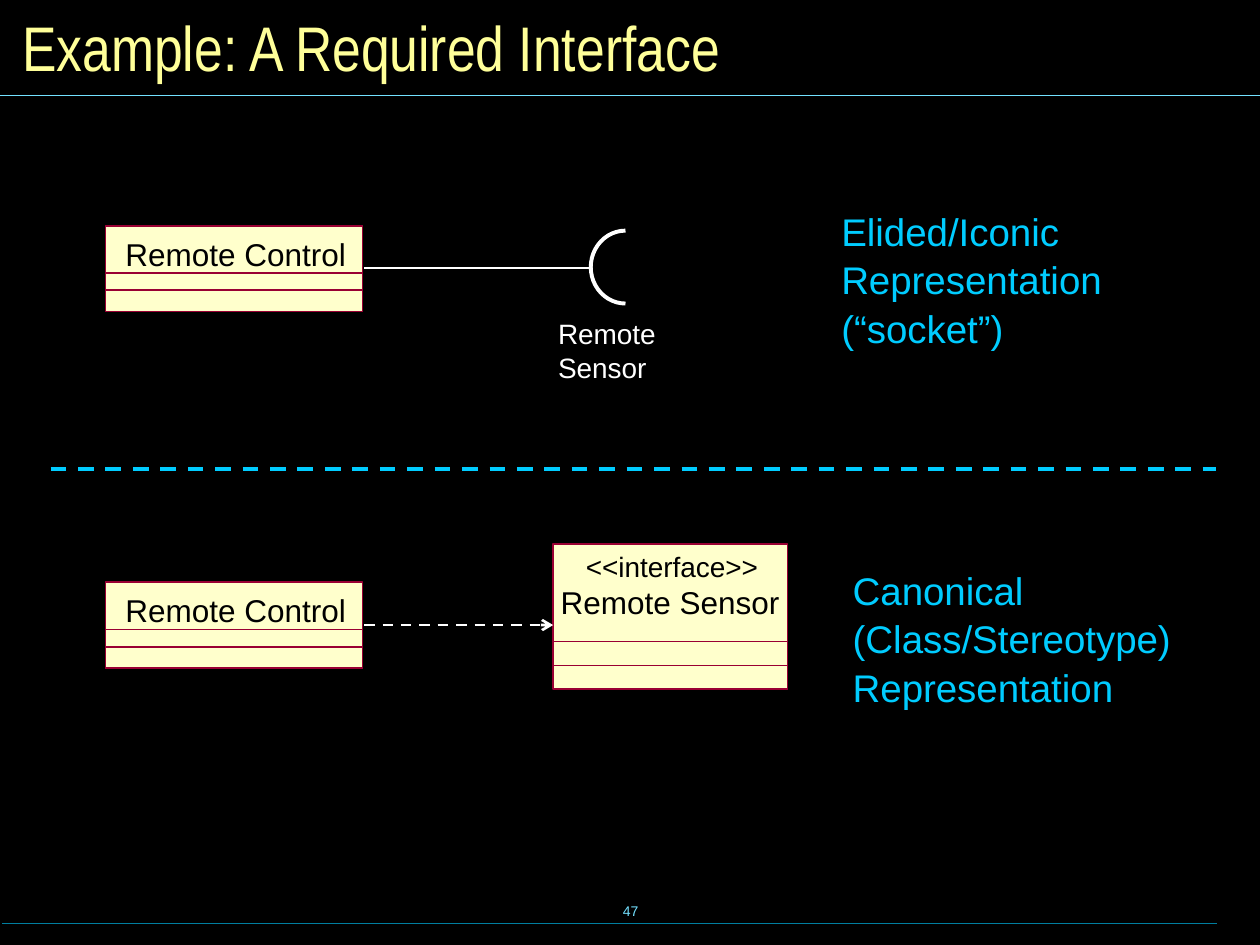
"""Build the slide that shows two notations for a required interface."""
import dataclasses

import lxml.etree
import pptx
import pptx.dml.color
import pptx.enum.dml
import pptx.enum.shapes
import pptx.enum.text
import pptx.oxml.ns
import pptx.util

Cm = pptx.util.Cm
SHAPE = pptx.enum.shapes.MSO_SHAPE
ALIGN = pptx.enum.text.PP_ALIGN
ANCHOR = pptx.enum.text.MSO_ANCHOR


@dataclasses.dataclass(frozen=True)
class Theme:
    background: str = "000000"
    title: str = "FFFF99"
    rule: str = "73E1FF"
    footer_rule: str = "007E9F"
    accent: str = "00CCFF"
    box: str = "FFFFCC"
    border: str = "990033"
    ink: str = "000000"
    light: str = "FFFFFF"
    font: str = "Arial"
    title_font: str = "Arial Narrow"
    title_size: int = 36
    note_size: int = 22
    name_size: int = 18
    label_size: int = 16
    number_size: int = 8


THEME = Theme()


def rgb(color):
    return pptx.dml.color.RGBColor.from_string(color)


def add_text(s, text, box, size, color, font=THEME.font, align=ALIGN.LEFT,
             anchor=ANCHOR.TOP, inset=(0, 0), wrap=True, spacing=None):
    tf = s.shapes.add_textbox(*map(Cm, box)).text_frame
    tf.margin_left = tf.margin_right = Cm(inset[0])
    tf.margin_top = tf.margin_bottom = Cm(inset[1])
    tf.word_wrap = wrap
    tf.vertical_anchor = anchor
    tf.text = text
    p = tf.paragraphs[0]
    p.alignment = align
    p.line_spacing = spacing
    for r in p.runs:
        r.font.name = font
        r.font.size = pptx.util.Pt(size)
        r.font.color.rgb = rgb(color)


def add_line(s, start, end, color, width, dashed=False, arrow=False):
    sp = s.shapes.add_connector(
        pptx.enum.shapes.MSO_CONNECTOR.STRAIGHT, *map(Cm, start + end))
    sp.line.color.rgb = rgb(color)
    sp.line.width = pptx.util.Pt(width)
    if dashed:
        sp.line.dash_style = pptx.enum.dml.MSO_LINE.DASH
    qn = pptx.oxml.ns.qn
    if arrow:
        ln = sp.line._get_or_add_ln()
        lxml.etree.SubElement(ln, qn("a:tailEnd"), type="arrow")
    lxml.etree.SubElement(sp._element.spPr, qn("a:effectLst"))


def add_shape(s, kind, box, border, width, fill=None):
    sp = s.shapes.add_shape(kind, *map(Cm, box))
    sp.shadow.inherit = False
    if fill:
        sp.fill.solid()
        sp.fill.fore_color.rgb = rgb(fill)
    else:
        sp.fill.background()
    sp.line.color.rgb = rgb(border)
    sp.line.width = pptx.util.Pt(width)
    return sp


def add_class(s, top):
    left, width, bottom = 2.13, 5.18, top + 1.73
    add_shape(s, SHAPE.RECTANGLE, (left, top, width, 1.73),
              THEME.border, 1, THEME.box)
    for height in (0.78, 0.43):
        add_shape(s, SHAPE.RECTANGLE, (left, bottom - height, width, height),
                  THEME.border, 1)
    add_text(s, "Remote Control", (2.36, top + 0.18, 4.78, 0.76),
             THEME.name_size, THEME.ink, align=ALIGN.CENTER)


def add_interface(s):
    left, top, width = 11.15, 10.97, 4.72
    add_shape(s, SHAPE.RECTANGLE, (left, top, width, 2.92),
              THEME.border, 0, THEME.box)
    add_shape(s, SHAPE.RECTANGLE, (left, 12.92, width, 0.98),
              THEME.border, 0.25)
    add_line(s, (left, 13.41), (left + width, 13.41), THEME.border, 0.25)
    add_text(s, "Remote Sensor", (left, 11.76, width, 0.76), THEME.name_size,
             THEME.ink, align=ALIGN.CENTER, wrap=False)
    add_text(s, "<<interface>>", (11.81, 11.07, 3.48, 0.69),
             THEME.label_size, THEME.ink, wrap=False)


def add_socket(s):
    add_line(s, (7.34, 5.4), (11.93, 5.4), THEME.light, 1.5)
    sp = add_shape(s, SHAPE.ARC, (11.91, 4.65, 1.4, 1.47), THEME.light, 2.25)
    sp.adjustments[0], sp.adjustments[1] = 54, 162
    add_text(s, "Remote Sensor", (11.25, 6.38, 3.91, 0.69),
             THEME.label_size, THEME.light, wrap=False)


def add_note(s, text, box):
    add_text(s, text, box, THEME.note_size, THEME.accent,
             inset=(0.3, 0.15), spacing=1.05)


def add_frame(s):
    s.background.fill.solid()
    s.background.fill.fore_color.rgb = rgb(THEME.background)
    add_text(s, "47", (8.69, 17.73, 8.05, 1.27), THEME.number_size,
             THEME.rule, align=ALIGN.CENTER, anchor=ANCHOR.MIDDLE,
             inset=(0.25, 0.13))
    add_line(s, (0, 1.93), (25.4, 1.93), THEME.rule, 0.75)
    add_line(s, (0.05, 18.62), (24.54, 18.62), THEME.footer_rule, 0.75)
    add_text(s, "Example: A Required Interface", (0.2, 0.2, 25, 1.47),
             THEME.title_size, THEME.title, THEME.title_font,
             anchor=ANCHOR.MIDDLE, inset=(0.25, 0.13))


def main():
    prs = pptx.Presentation()
    prs.slide_width, prs.slide_height = Cm(25.4), Cm(19.05)
    s = prs.slides.add_slide(prs.slide_layouts[6])
    add_frame(s)
    add_line(s, (1.02, 9.45), (24.51, 9.45), THEME.accent, 2.25, dashed=True)
    add_class(s, 4.55)
    add_socket(s)
    add_class(s, 11.74)
    add_interface(s)
    add_line(s, (7.34, 12.6), (11.15, 12.6), THEME.light, 1.5,
             dashed=True, arrow=True)
    add_note(s, "Elided/Iconic Representation\v(“socket”)",
             (16.66, 3.99, 6.55, 3.1))
    add_note(s, "Canonical (Class/Stereotype) Representation",
             (16.89, 11.23, 7.32, 3.1))
    prs.save("out.pptx")


if __name__ == "__main__":
    main()
